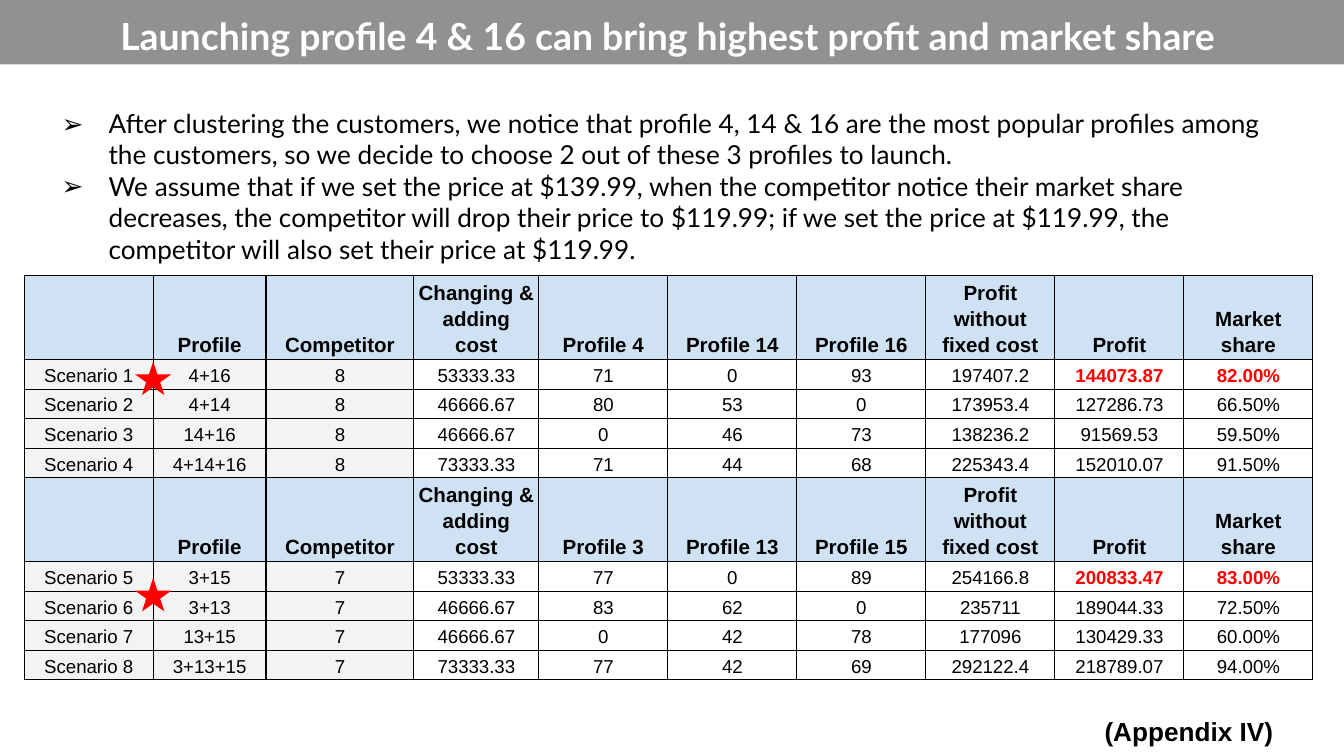
from dataclasses import dataclass

from lxml import etree
from pptx import Presentation
from pptx import util as u
from pptx.dml.color import RGBColor
from pptx.enum import shapes, text
from pptx.oxml.ns import qn

# Content
TITLE = "Launching profile 4 & 16 can bring highest profit and market share"
POINTS = [
    "After clustering the customers, we notice that profile 4, 14 & 16 are the most popular "
    "profiles among the customers, so we decide to choose 2 out of these 3 profiles to launch.",
    "We assume that if we set the price at $139.99, when the competitor notice their market "
    "share decreases, the competitor will drop their price to $119.99; if we set the price at "
    "$119.99, the competitor will also set their price at $119.99.",
]
APPENDIX = "(Appendix IV)"
# Each block: competitor, compared profiles, scenarios (first one is the best)
BLOCKS = [
    (8, (4, 14, 16), [
        ("4+16", "53333.33", 71, 0, 93, "197407.2", "144073.87", "82.00%"),
        ("4+14", "46666.67", 80, 53, 0, "173953.4", "127286.73", "66.50%"),
        ("14+16", "46666.67", 0, 46, 73, "138236.2", "91569.53", "59.50%"),
        ("4+14+16", "73333.33", 71, 44, 68, "225343.4", "152010.07", "91.50%"),
    ]),
    (7, (3, 13, 15), [
        ("3+15", "53333.33", 77, 0, 89, "254166.8", "200833.47", "83.00%"),
        ("3+13", "46666.67", 83, 62, 0, "235711", "189044.33", "72.50%"),
        ("13+15", "46666.67", 0, 42, 78, "177096", "130429.33", "60.00%"),
        ("3+13+15", "73333.33", 77, 42, 69, "292122.4", "218789.07", "94.00%"),
    ]),
]


@dataclass(frozen=True)
class Theme:
    heading: str = "Lato"
    body: str = "Arial"
    black: str = "000000"
    white: str = "FFFFFF"
    bar: str = "919191"
    header: str = "CFE2F3"
    label: str = "F3F3F3"
    accent: str = "FF0000"
    title_size: int = 20
    text_size: int = 14
    header_size: int = 11
    cell_size: int = 10


T = Theme()
W = 10
H = W * 9 / 16
COLS = [0.96, 0.84, 1.1, 0.93] + [0.96] * 6
HEAD_H, ROW_H = 0.55, 0.22
TABLE_X, TABLE_Y = 0.18, 2.05
STAR_W, STAR_H = 0.27, 0.25
STAR_TOPS = [2.69, 4.3]


def box(*inches):
    return [u.Inches(v) for v in inches]


def add_run(p, words, font, size, color, bold=False):
    r = p.add_run()
    r.text = words
    r.font.name, r.font.size, r.font.bold = font, u.Pt(size), bold
    r.font.color.rgb = RGBColor.from_string(color)


def setup_frame(tf):
    tf.word_wrap = True
    tf.auto_size = text.MSO_AUTO_SIZE.NONE
    tf.vertical_anchor = text.MSO_ANCHOR.TOP
    tf.margin_left = tf.margin_right = tf.margin_top = tf.margin_bottom = u.Inches(0.1)
    return tf


def add_text_box(s, *place):
    return setup_frame(s.shapes.add_textbox(*box(*place)).text_frame)


def add_plain_shape(s, kind, color, *place):
    sp = s.shapes.add_shape(kind, *box(*place))
    sp.shadow.inherit = False
    sp.fill.solid()
    sp.fill.fore_color.rgb = RGBColor.from_string(color)
    sp.line.fill.background()
    return sp


def set_bullet(p):
    pPr = p._p.get_or_add_pPr()
    pPr.set("marL", str(u.Inches(0.5)))
    pPr.set("indent", str(u.Inches(-0.35)))
    color = etree.SubElement(pPr, qn("a:buClr"))
    etree.SubElement(color, qn("a:srgbClr"), val=T.black)
    etree.SubElement(pPr, qn("a:buFont"), typeface=T.heading)
    etree.SubElement(pPr, qn("a:buChar"), char="➢")


def set_borders(cell):
    tcPr = cell._tc.get_or_add_tcPr()
    for i, side in enumerate(("lnL", "lnR", "lnT", "lnB")):
        ln = etree.Element(qn(f"a:{side}"), w=str(u.Pt(0.75)))
        fill = etree.SubElement(ln, qn("a:solidFill"))
        etree.SubElement(fill, qn("a:srgbClr"), val=T.black)
        tcPr.insert(i, ln)


def fill_cell(cell, words, fill, size, color, bold):
    cell.margin_left = cell.margin_right = u.Inches(0.03)
    cell.margin_top = cell.margin_bottom = u.Inches(0.02)
    cell.vertical_anchor = text.MSO_ANCHOR.BOTTOM
    if fill:
        cell.fill.solid()
        cell.fill.fore_color.rgb = RGBColor.from_string(fill)
    else:
        cell.fill.background()
    set_borders(cell)
    if words:
        p = cell.text_frame.paragraphs[0]
        p.alignment, p.line_spacing = text.PP_ALIGN.CENTER, 1.15
        for i, line in enumerate(words.split("\n")):
            if i:
                p.add_line_break()
            add_run(p, line, T.body, size, color, bold)


def table_rows():
    """Yield (kind, values) for every table row."""
    number = 0
    for competitor, profiles, scenarios in BLOCKS:
        yield "header", ["", "Profile", "Competitor", "Changing & adding\ncost",
                         *(f"Profile {n}" for n in profiles),
                         "Profit without fixed cost", "Profit", "Market share"]
        for i, (mix, *values) in enumerate(scenarios):
            number += 1
            kind = "best" if i == 0 else "data"
            yield kind, [f"Scenario {number}", mix, competitor, *values]


def add_scenarios(s):
    rows = list(table_rows())
    heights = [HEAD_H if kind == "header" else ROW_H for kind, _ in rows]
    frame = s.shapes.add_table(len(rows), len(COLS),
                               *box(TABLE_X, TABLE_Y, sum(COLS), sum(heights)))
    table = frame.table
    table.first_row = table.horz_banding = False
    for col, width in zip(table.columns, COLS):
        col.width = u.Inches(width)
    for r, (kind, values) in enumerate(rows):
        table.rows[r].height = u.Inches(heights[r])
        for c, value in enumerate(values):
            header = kind == "header"
            best = kind == "best" and c >= len(COLS) - 2
            fill = T.header if header else T.label if c < 3 else None
            fill_cell(table.cell(r, c), str(value), fill,
                      T.header_size if header else T.cell_size,
                      T.accent if best else T.black, header or best)


def main():
    prs = Presentation()
    prs.slide_width, prs.slide_height = box(W, H)
    s = prs.slides.add_slide(prs.slide_layouts[5])

    # Title on its bar
    title = s.shapes.title
    title.left, title.top, title.width, title.height = box(0, 0, 9.94, 0.48)
    p = setup_frame(title.text_frame).paragraphs[0]
    p.alignment = text.PP_ALIGN.CENTER
    add_run(p, TITLE, T.heading, T.title_size, T.white, True)
    bar = add_plain_shape(s, shapes.MSO_SHAPE.RECTANGLE, T.bar, -0.02, 0, W + 0.04, 0.48)
    title.element.addprevious(bar.element)

    # Scenario table
    add_scenarios(s)

    # Bullet points
    tf = add_text_box(s, 0.21, 0.7, 9.28, 0.74)
    for i, point in enumerate(POINTS):
        p = tf.add_paragraph() if i else tf.paragraphs[0]
        set_bullet(p)
        add_run(p, point, T.heading, T.text_size, T.black)

    # Stars on the border after the scenario names
    star_x = TABLE_X + COLS[0] - STAR_W / 2
    for top in STAR_TOPS:
        add_plain_shape(s, shapes.MSO_SHAPE.STAR_5_POINT, T.accent, star_x, top, STAR_W, STAR_H)

    # Appendix reference
    p = add_text_box(s, 8.12, 5.22, 1.74, 0.33).paragraphs[0]
    add_run(p, APPENDIX, T.body, T.text_size, T.black, True)

    prs.save("out.pptx")


if __name__ == "__main__":
    main()
